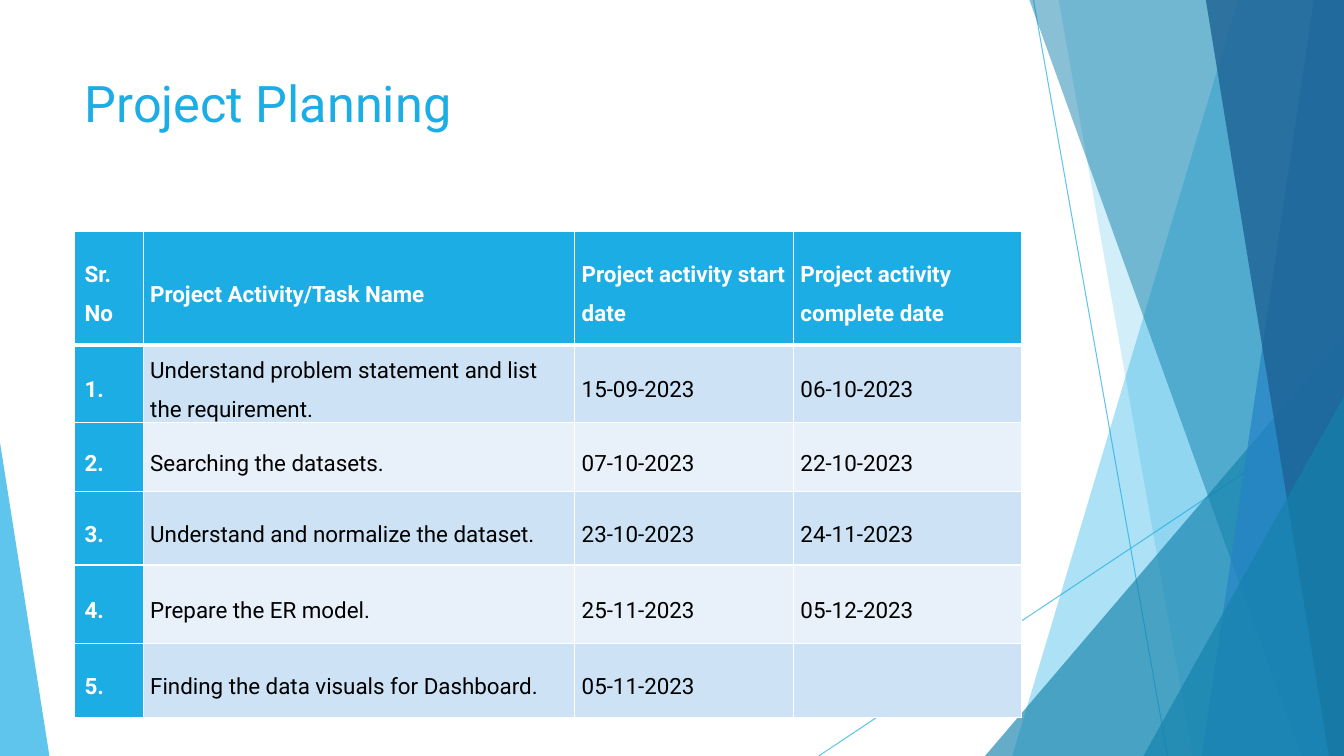
import collections

import lxml.etree
import pptx
import pptx.dml.color
import pptx.enum.shapes
import pptx.enum.text
import pptx.oxml.ns
import pptx.util

Box = collections.namedtuple("Box", "left top width height")
SLIDE = Box(0, 0, 13.33, 7.5)
TITLE = Box(0.74, 0.67, 9.4, 1.44)
PLAN = Box(0.74, 2.3, 9.39, 4.77)
FONT = "Roboto"
BLUE, TEAL, WHITE, BLACK = "1CADE4", "1482AC", "FFFFFF", "000000"
BANDS = ("CDE3F5", "E8F1FA")
COLUMNS = (0.68, 4.28, 2.17, 2.26)
ROWS = (1.12, 0.73, 0.68, 0.73, 0.78, 0.73)
HEADINGS = ("Sr. No", "Project Activity/Task Name", "Project activity start date",
            "Project activity complete date")
TASKS = (
    ("Understand problem statement and list the requirement.", "15-09-2023", "06-10-2023"),
    ("Searching the datasets.", "07-10-2023", "22-10-2023"),
    ("Understand and normalize the dataset.", "23-10-2023", "24-11-2023"),
    ("Prepare the ER model.", "25-11-2023", "05-12-2023"),
    ("Finding the data visuals for Dashboard.", "05-11-2023", ""),
)
RAYS = ((10.25, 0, 11.58, 7.5), (13.33, 4.03, 8.12, 7.5))
BACK_FACETS = ((12.28, 10.04, BLUE, 36), (10.5, 11.83, BLUE, 20))
FRONT_FACETS = ((10.21, 12.91, TEAL, 50), (13.03, 11.92, "2683C6", 70),
                (11.96, 13.18, "1D6294", 80))


def color(value):
    """Turn a hex string into a colour."""
    return pptx.dml.color.RGBColor.from_string(value)


def inches(*lengths):
    """Turn lengths in inches into a list of slide units."""
    return [pptx.util.Inches(length) for length in lengths]


def add_child(parent, tag, **attributes):
    """Append a drawing element and return it."""
    child = lxml.etree.SubElement(parent, pptx.oxml.ns.qn(tag))
    for name, value in attributes.items():
        child.set(name, str(value))
    return child


def set_opacity(shape, percent):
    """Make the colours of a shape partly transparent."""
    for node in shape.element.spPr.iter(pptx.oxml.ns.qn("a:srgbClr")):
        add_child(node, "a:alpha", val=percent * 1000)


def paint(shape, fill, percent):
    """Fill a shape without outline or shadow."""
    shape.shadow.inherit = False
    shape.fill.solid()
    shape.fill.fore_color.rgb = color(fill)
    shape.line.fill.background()
    set_opacity(shape, percent)


def style_text(para, size, shade, bold=False):
    """Format every run of a paragraph."""
    for span in para.runs:
        span.font.name = FONT
        span.font.size = pptx.util.Pt(size)
        span.font.bold = bold
        span.font.color.rgb = color(shade)


def add_ray(slide, ends):
    """Draw one thin decorative line."""
    ray = slide.shapes.add_connector(pptx.enum.shapes.MSO_CONNECTOR.STRAIGHT, *inches(*ends))
    ray.line.width = pptx.util.Pt(0.75)
    ray.line.color.rgb = color(BLUE)
    set_opacity(ray, 70)
    add_child(ray.element.spPr, "a:effectLst")


def add_facet(slide, box, top_x, bottom_x, fill, percent):
    """Fill from a slanted left edge to the right side of the box."""
    right, bottom = box.left + box.width, box.top + box.height
    builder = slide.shapes.build_freeform(*inches(top_x, box.top))
    corners = ((right, box.top), (right, bottom), (bottom_x, bottom))
    builder.add_line_segments([inches(*corner) for corner in corners], close=True)
    paint(builder.convert_to_shape(), fill, percent)


def add_triangle(slide, box, apex, fill, percent):
    """Draw a right triangle with its apex at a share of its width."""
    kind = pptx.enum.shapes.MSO_SHAPE.ISOSCELES_TRIANGLE
    triangle = slide.shapes.add_shape(kind, *inches(*box))
    triangle.adjustments[0] = apex
    paint(triangle, fill, percent)


def add_decoration(slide, box):
    """Layer the rays and translucent facets along the slide edges."""
    right, bottom = box.left + box.width, box.top + box.height
    for ends in RAYS:
        add_ray(slide, ends)
    for facet in BACK_FACETS:
        add_facet(slide, box, *facet)
    add_triangle(slide, Box(right - 3.56, bottom - 4.17, 3.56, 4.17), 1, TEAL, 66)
    for facet in FRONT_FACETS:
        add_facet(slide, box, *facet)
    add_triangle(slide, Box(right - 1.99, bottom - 3.57, 1.99, 3.57), 1, TEAL, 66)
    add_triangle(slide, Box(box.left, bottom - 3.11, 0.49, 3.11), 0, BLUE, 70)


def add_title(slide, box, text):
    """Place and format the title."""
    title = slide.shapes.title
    title.left, title.top, title.width, title.height = inches(*box)
    frame = title.text_frame
    frame.text = text
    frame.vertical_anchor = pptx.enum.text.MSO_ANCHOR.TOP
    para = frame.paragraphs[0]
    para.alignment = pptx.enum.text.PP_ALIGN.LEFT
    style_text(para, 36, BLUE)


def add_borders(cell, bottom_width):
    """Give a cell white borders."""
    properties = cell._tc.get_or_add_tcPr()
    for tag, width in (("a:lnL", 1), ("a:lnR", 1), ("a:lnT", 1), ("a:lnB", bottom_width)):
        line = add_child(properties, tag, w=pptx.util.Pt(width))
        add_child(add_child(line, "a:solidFill"), "a:srgbClr", val=WHITE)


def fill_cell(cell, text, row, column):
    """Write and format one cell of the plan."""
    strong = row == 0 or column == 0
    add_borders(cell, 3 if row == 0 else 1)
    cell.fill.solid()
    cell.fill.fore_color.rgb = color(BLUE if strong else BANDS[(row - 1) % 2])
    cell.vertical_anchor = pptx.enum.text.MSO_ANCHOR.MIDDLE
    cell.margin_left = cell.margin_right = pptx.util.Inches(0.07)
    cell.margin_top = cell.margin_bottom = 0
    cell.text = text
    para = cell.text_frame.paragraphs[0]
    para.line_spacing = 1.5
    para.space_after = pptx.util.Pt(8)
    if column == 0:
        para._p.get_or_add_pPr().set("marL", str(pptx.util.Inches(0.03)))
    style_text(para, 16, WHITE if strong else BLACK, strong)


def add_plan(slide, box):
    """Build the table of activities and dates."""
    records = [HEADINGS] + [(f"{number}.", *task) for number, task in enumerate(TASKS, 1)]
    table = slide.shapes.add_table(len(ROWS), len(COLUMNS), *inches(*box)).table
    table.first_row = table.horz_banding = False
    for column, share in zip(table.columns, COLUMNS):
        column.width = pptx.util.Inches(box.width * share / sum(COLUMNS))
    for row, share in zip(table.rows, ROWS):
        row.height = pptx.util.Inches(box.height * share / sum(ROWS))
    for row, record in enumerate(records):
        for column, text in enumerate(record):
            fill_cell(table.cell(row, column), text, row, column)


def main():
    """Build and save the deck."""
    deck = pptx.Presentation()
    deck.slide_width, deck.slide_height = inches(SLIDE.width, SLIDE.height)
    slide = deck.slides.add_slide(deck.slide_layouts[5])
    add_decoration(slide, SLIDE)
    add_title(slide, TITLE, "Project Planning")
    add_plan(slide, PLAN)
    deck.save("out.pptx")


if __name__ == "__main__":
    main()
